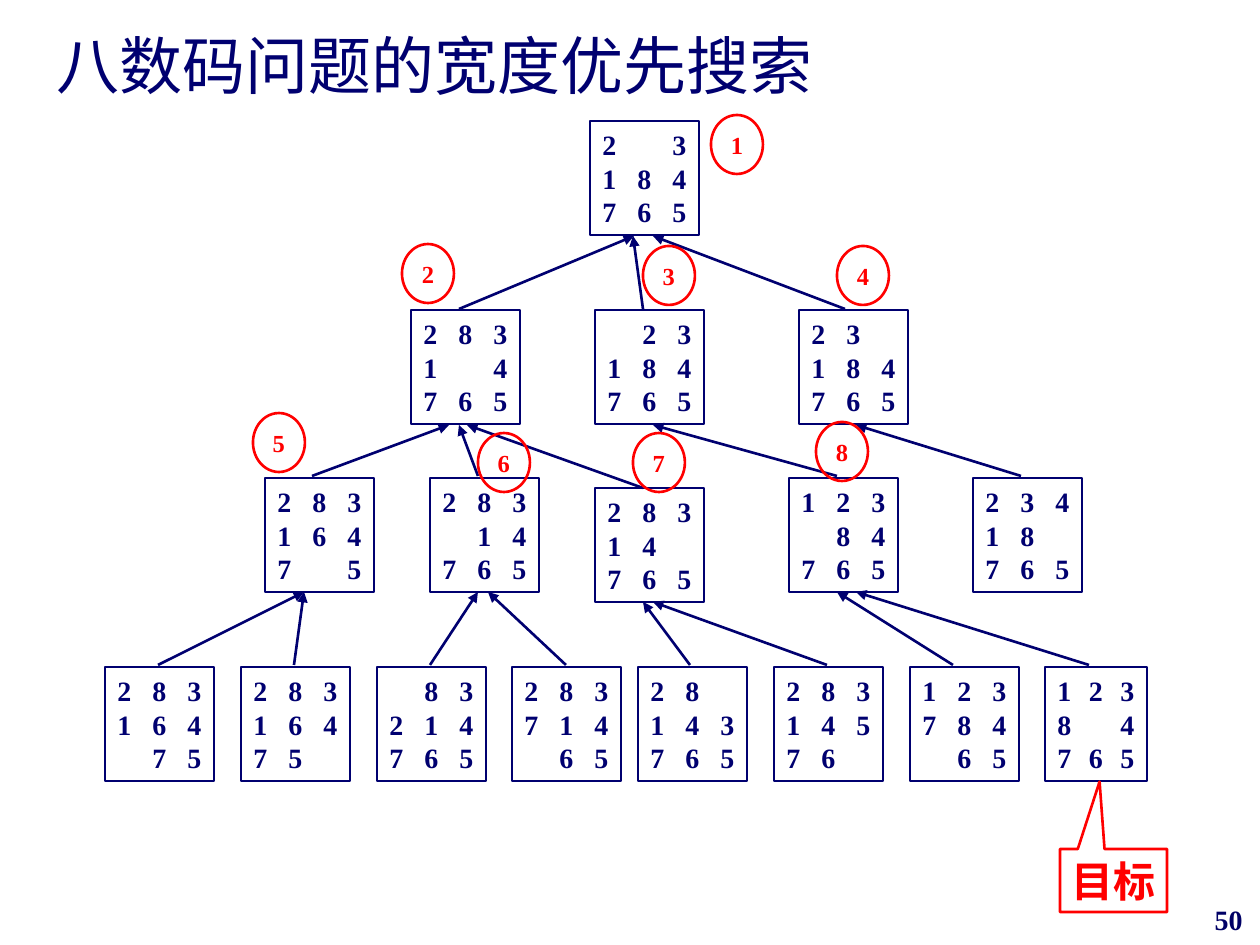
from dataclasses import dataclass
from lxml.etree import SubElement as Sub
from pptx import Presentation
from pptx.dml.color import RGBColor as RGB
from pptx.enum.shapes import MSO_CONNECTOR as Wire, MSO_SHAPE as Form
from pptx.enum.text import MSO_ANCHOR as Anchor, PP_ALIGN as Align
from pptx.oxml.ns import qn
from pptx.util import Pt

SCALE = 914400 / 126


def px(n):
    return round(n * SCALE)


@dataclass(frozen=True)
class Theme:
    navy: RGB = RGB(0x00, 0x00, 0x70)
    page: RGB = RGB(0x00, 0x00, 0x66)
    red: RGB = RGB(0xFF, 0x00, 0x00)
    latin: str = "Times New Roman"
    asian: str = "Noto Sans CJK SC"
    title: int = 36
    goal: int = 24
    body: int = 16
    badge: int = 14
    line: float = 1.5


class Pen:
    def __init__(self, slide, theme):
        self.slide, self.theme = slide, theme

    def run(self, para, text, size, color, bold=True, name=None):
        run = para.add_run()
        run.text = text
        font = run.font
        font.name, font.size, font.bold = name or self.theme.latin, Pt(size), bold
        font.color.rgb = color
        Sub(run._r.get_or_add_rPr(), qn("a:ea"), typeface=self.theme.asian)

    def shape(self, form, box, color):
        """Add an unfilled outline and return it."""
        shape = self.slide.shapes.add_shape(form, *map(px, box))
        shape.shadow.inherit = False
        shape.fill.background()
        shape.line.color.rgb = color
        shape.line.width = Pt(self.theme.line)
        shape.text_frame.vertical_anchor = Anchor.MIDDLE
        return shape

    def board(self, x, y, rows, width=109, pitch=20):
        """Draw a puzzle state; rows are parted by / and _ is the blank."""
        theme = self.theme
        frame = self.shape(Form.RECTANGLE, (x, y, width, 114), theme.navy).text_frame
        frame.margin_right = 0
        for i, row in enumerate(rows.split("/")):
            para = frame.paragraphs[0] if i == 0 else frame.add_paragraph()
            para.alignment = Align.LEFT
            tabs = Sub(para._p.get_or_add_pPr(), qn("a:tabLst"))
            for col in (1, 2):
                Sub(tabs, qn("a:tab"), pos=str(Pt(col * pitch)), algn="l")
            text = "\t".join(row).replace("_", "").rstrip()
            self.run(para, text, theme.body, theme.navy)

    def label(self, form, box, text, size):
        """Draw a red outline with one centred word."""
        shape = self.shape(form, box, self.theme.red)
        shape.text_frame.word_wrap = False
        para = shape.text_frame.paragraphs[0]
        para.alignment = Align.CENTER
        self.run(para, text, size, self.theme.red)
        return shape

    def arrow(self, *ends):
        wire = self.slide.shapes.add_connector(Wire.STRAIGHT, *map(px, ends))
        wire.line.color.rgb = self.theme.navy
        wire.line.width = Pt(self.theme.line)
        Sub(wire.line._get_or_add_ln(), qn("a:tailEnd"), type="triangle")
        Sub(wire._element.spPr, qn("a:effectLst"))

    def text(self, box, text, size, color, align=Align.LEFT, **style):
        frame = self.slide.shapes.add_textbox(*map(px, box)).text_frame
        frame.word_wrap = True
        para = frame.paragraphs[0]
        para.alignment = align
        self.run(para, text, size, color, **style)
        return para


# Each level: top of its boards, then (left, state) pairs
LEVELS = [
    (121, [(590, "2_3/184/765")]),
    (310, [(411, "283/1_4/765"), (595, "_23/184/765"), (799, "23_/184/765")]),
    (478, [(265, "283/164/7_5"), (430, "283/_14/765"),
           (789, "123/_84/765"), (973, "234/18_/765")]),
    (488, [(595, "283/14_/765")]),
    (667, [(105, "283/164/_75"), (241, "283/164/75_"),
           (377, "_83/214/765"), (512, "283/714/_65"),
           (638, "28_/143/765"), (774, "283/145/76_"),
           (910, "123/784/_65")]),
]
# Each set: child y, parent y, then (child x, parent x) pairs
LINKS = [
    (309, 236, [(459, 634), (643, 633), (845, 653)]),
    (476, 425, [(312, 449), (478, 459), (837, 653), (1021, 856)]),
    (488, 425, [(643, 467)]),
    (665, 592, [(158, 304), (294, 304), (430, 478), (566, 488),
                (953, 837), (1089, 856)]),
    (665, 602, [(690, 643), (827, 653)]),
]
# Order of visits
BADGES = [(711, 115), (402, 244), (643, 246), (837, 246),
          (253, 413), (478, 433), (633, 433), (816, 422)]


def main():
    deck = Presentation()
    deck.slide_width, deck.slide_height = px(1260), px(945)
    theme = Theme()
    pen = Pen(deck.slides.add_slide(deck.slide_layouts[6]), theme)

    title = pen.text((44, 35, 900, 69), "八数码问题的宽度优先搜索", theme.title,
                     theme.navy, bold=False, name=theme.asian)
    title.line_spacing = 0.8

    for top, boards in LEVELS:
        for left, state in boards:
            pen.board(left, top, state)
    pen.board(1045, 667, "123/8_4/765", width=102, pitch=18)

    for low, high, pairs in LINKS:
        for child, parent in pairs:
            pen.arrow(child, low, parent, high)

    for step, (x, y) in enumerate(BADGES, 1):
        pen.label(Form.OVAL, (x, y, 52, 59), str(step), theme.badge)

    goal = pen.label(Form.RECTANGULAR_CALLOUT, (1060, 849, 107, 63),
                     "目标", theme.goal)
    goal.adjustments[0], goal.adjustments[1] = -0.13, -1.57

    pen.text((993, 896, 262, 49), "50", theme.body, theme.page, Align.RIGHT)
    deck.save("out.pptx")


if __name__ == "__main__":
    main()
